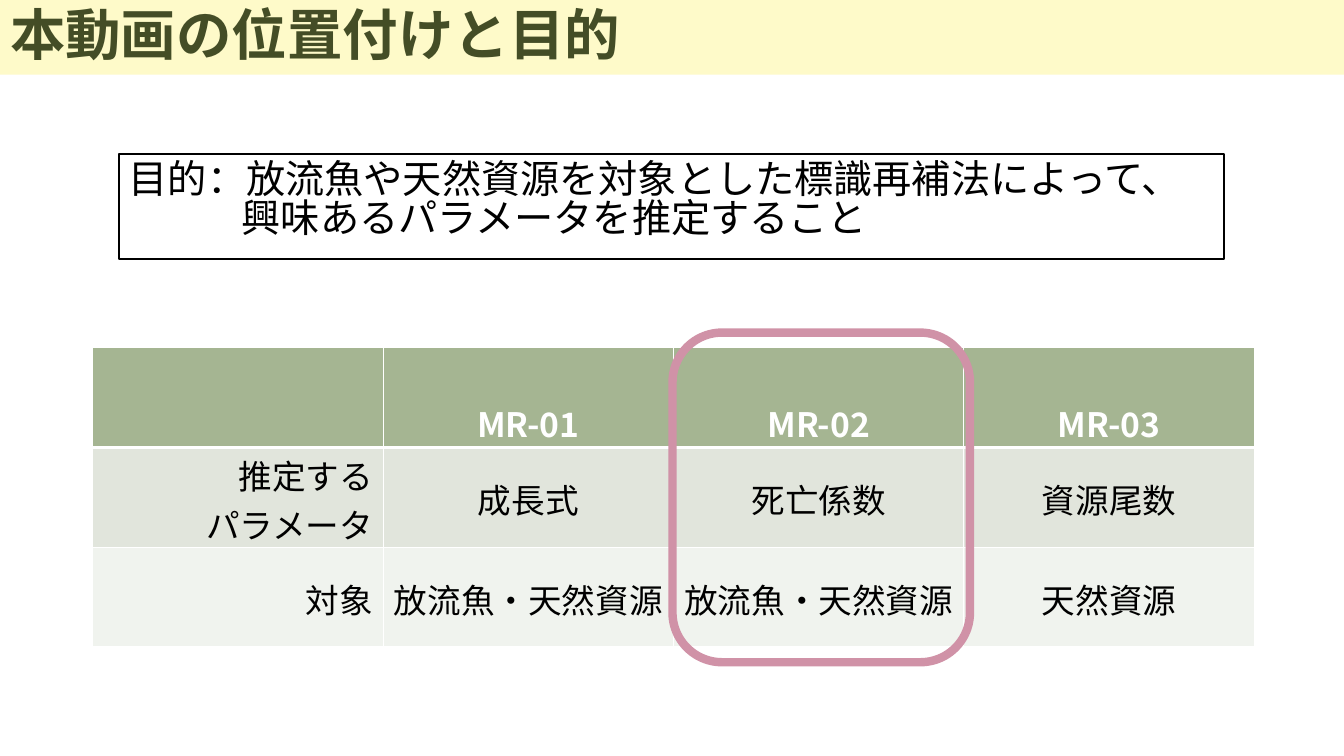
"""Build the slide on the position and purpose of the video."""
from dataclasses import dataclass
from typing import Any

from lxml.etree import SubElement
from pptx import Presentation
from pptx.dml.color import RGBColor
from pptx.enum.shapes import MSO_SHAPE
from pptx.enum.text import MSO_ANCHOR, MSO_AUTO_SIZE, PP_ALIGN
from pptx.oxml import parse_xml
from pptx.oxml.ns import nsdecls, qn
from pptx.util import Inches, Pt

FONT = "Noto Sans CJK JP"
WHITE = RGBColor(0xFF, 0xFF, 0xFF)
BLACK = RGBColor(0x00, 0x00, 0x00)
CREAM = RGBColor(0xFE, 0xFA, 0xC9)
OLIVE = RGBColor(0x44, 0x4D, 0x26)
SAGE = RGBColor(0xA5, 0xB5, 0x92)
PALE_SAGE = RGBColor(0xE1, 0xE5, 0xDC)
FAINT_SAGE = RGBColor(0xF0, 0xF3, 0xEE)
ROSE = RGBColor(0xD0, 0x92, 0xA7)

COLUMN, ROW = 2.88, 0.99
TABLE_LEFT, TABLE_TOP = 0.92, 3.45
PURPOSE_INDENT = 1.12


@dataclass(frozen=True)
class TextFormat:
    """Size, colour and weight of a text."""

    size: float
    color: RGBColor
    bold: bool = False


@dataclass(frozen=True)
class TableRow:
    """Texts and look of one table row."""

    texts: tuple[str, ...]
    fill: RGBColor
    text_format: TextFormat
    anchor: MSO_ANCHOR = MSO_ANCHOR.MIDDLE
    bottom_line: float = 1


BODY = TextFormat(24, BLACK)
ROWS = (
    TableRow(("", "MR-01", "MR-02", "MR-03"), SAGE, TextFormat(24, WHITE, True), MSO_ANCHOR.BOTTOM, 3),
    TableRow(("推定する\nパラメータ", "成長式", "死亡係数", "資源尾数"), PALE_SAGE, BODY),
    TableRow(("対象", "放流魚・天然資源", "放流魚・天然資源", "天然資源"), FAINT_SAGE, BODY),
)


def apply(target: Any, values: dict[str, Any]) -> None:
    """Set every named attribute on the target."""
    for name, value in values.items():
        setattr(target, name, value)


def write(text_frame: Any, text: str, text_format: TextFormat, layout: dict[str, Any]) -> None:
    """Fill a text frame with formatted paragraphs."""
    text_frame.text = text
    for paragraph in text_frame.paragraphs:
        apply(paragraph, layout)
        for run in paragraph.runs:
            apply(run.font, {"name": FONT, "size": Pt(text_format.size), "bold": text_format.bold})
            run.font.color.rgb = text_format.color
            SubElement(run.font._element, qn("a:ea"), typeface=FONT)


def add_borders(cell: Any, top: float, bottom: float) -> None:
    """Draw the white borders of a cell."""
    widths = {"lnL": 1, "lnR": 1, "lnT": top, "lnB": bottom}
    properties = cell._tc.get_or_add_tcPr()
    for position, (side, width) in enumerate(widths.items()):
        properties.insert(position, parse_xml(
            f'<a:{side} {nsdecls("a")} w="{Pt(width)}"><a:solidFill>'
            f'<a:srgbClr val="{WHITE}"/></a:solidFill></a:{side}>'))


def add_title(slide: Any, width: int) -> None:
    """Place the title band across the top."""
    title = slide.shapes.title
    apply(title, {"left": 0, "top": 0, "width": width, "height": Inches(0.74)})
    title.fill.solid()
    title.fill.fore_color.rgb = CREAM
    apply(title.text_frame, {"vertical_anchor": MSO_ANCHOR.MIDDLE, "auto_size": MSO_AUTO_SIZE.NONE})
    write(title.text_frame, "本動画の位置付けと目的", TextFormat(39.6, OLIVE, True),
          {"alignment": PP_ALIGN.LEFT, "line_spacing": 0.9})


def add_purpose(slide: Any) -> None:
    """Place the framed statement of purpose with a hanging indent."""
    box = slide.shapes.add_textbox(Inches(1.18), Inches(1.53), Inches(10.96), Inches(1.04))
    box.fill.solid()
    box.fill.fore_color.rgb = WHITE
    box.line.color.rgb = BLACK
    box.line.width = Pt(1)
    apply(box.text_frame, {"word_wrap": True, "margin_top": Inches(0.08), "margin_bottom": Inches(0.02)})
    write(box.text_frame, "目的：放流魚や天然資源を対象とした標識再補法によって、興味あるパラメータを推定すること",
          TextFormat(28, BLACK), {"line_spacing": 0.83})
    properties = box.text_frame.paragraphs[0]._p.get_or_add_pPr()
    properties.set("marL", str(Inches(PURPOSE_INDENT)))
    properties.set("indent", str(-Inches(PURPOSE_INDENT)))


def add_parameter_table(slide: Any) -> None:
    """Place the table comparing the three videos."""
    column_count = len(ROWS[0].texts)
    table = slide.shapes.add_table(
        len(ROWS), column_count, Inches(TABLE_LEFT), Inches(TABLE_TOP),
        Inches(COLUMN * column_count), Inches(ROW * len(ROWS))).table
    top_line = 1.0
    for row_index, row in enumerate(ROWS):
        for column_index, text in enumerate(row.texts):
            cell = table.cell(row_index, column_index)
            apply(cell, {"vertical_anchor": row.anchor, "margin_top": Inches(0.03), "margin_bottom": 0})
            cell.fill.solid()
            cell.fill.fore_color.rgb = row.fill
            add_borders(cell, top_line, row.bottom_line)
            alignment = PP_ALIGN.CENTER if column_index else PP_ALIGN.RIGHT
            write(cell.text_frame, text, row.text_format, {"alignment": alignment})
        top_line = row.bottom_line


def add_highlight(slide: Any) -> None:
    """Frame the column of the current video."""
    frame = slide.shapes.add_shape(
        MSO_SHAPE.ROUNDED_RECTANGLE, Inches(6.67), Inches(3.3), Inches(2.95), Inches(3.27))
    frame.shadow.inherit = False
    frame.fill.background()
    frame.line.color.rgb = ROSE
    frame.line.width = Pt(6)


def main() -> None:
    """Create and save the presentation."""
    presentation = Presentation()
    apply(presentation, {"slide_width": Inches(13.33), "slide_height": Inches(7.5)})
    slide = presentation.slides.add_slide(presentation.slide_layouts.get_by_name("Title Only"))
    add_title(slide, presentation.slide_width)
    add_purpose(slide)
    add_parameter_table(slide)
    add_highlight(slide)
    presentation.save("out.pptx")


if __name__ == "__main__":
    main()
